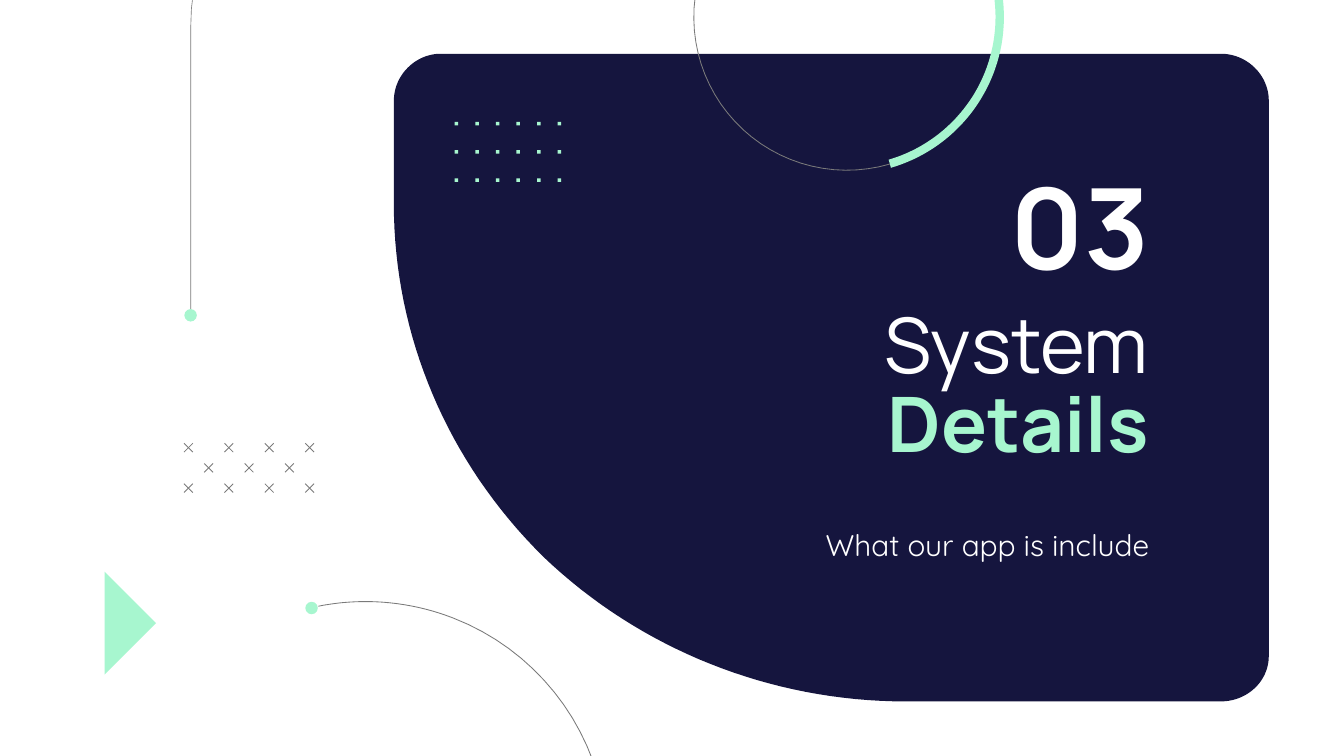
import math
from dataclasses import dataclass

from lxml import etree
from pptx import Presentation
from pptx.dml.color import RGBColor
from pptx.enum.shapes import MSO_CONNECTOR, MSO_SHAPE
from pptx.enum.text import MSO_ANCHOR, MSO_AUTO_SIZE, PP_ALIGN
from pptx.oxml.ns import qn
from pptx.util import Pt

TOP, BOTTOM = MSO_ANCHOR.TOP, MSO_ANCHOR.BOTTOM
NAVY, MINT, GREY, WHITE = "15153E", "A7F6CF", "7A7A7A", "FFFFFF"
HEADING_FONT, BODY_FONT = "Manrope", "Quicksand"
CURVE_STEPS = 32

Point = tuple[float, float]


@dataclass
class Span:
    text: str
    size: float
    font: str
    color: str
    bold: bool = False


@dataclass
class TextBlock:
    left: float
    top: float
    width: float
    height: float
    spans: list[Span]
    anchor: MSO_ANCHOR = TOP
    bottom_inset: float = 0
    line_spacing: float = 1.0


@dataclass
class Arc:
    """Part of a circle; angles in degrees, clockwise from the right."""
    center: Point
    radius: float
    start: float
    end: float


def rgb(color: str) -> RGBColor:
    return RGBColor.from_string(color)


def bezier(a: Point, b: Point, c: Point, d: Point) -> list[Point]:
    points = []
    for step in range(CURVE_STEPS + 1):
        t = step / CURVE_STEPS
        weights = ((1 - t) ** 3, 3 * t * (1 - t) ** 2, 3 * t * t * (1 - t), t ** 3)
        points.append(tuple(sum(w * p[axis] for w, p in zip(weights, (a, b, c, d)))
                            for axis in (0, 1)))
    return points


def arc_points(arc: Arc) -> list[Point]:
    steps = 2 * CURVE_STEPS
    angles = [math.radians(arc.start + (arc.end - arc.start) * i / steps)
              for i in range(steps + 1)]
    return [(arc.center[0] + arc.radius * math.cos(angle),
             arc.center[1] + arc.radius * math.sin(angle)) for angle in angles]


def paint(shape, fill: str) -> None:
    shape.shadow.inherit = False
    shape.fill.solid()
    shape.fill.fore_color.rgb = rgb(fill)
    shape.line.fill.background()


def draw_outline(slide, points: list[Point], closed: bool):
    corners = [(Pt(x), Pt(y)) for x, y in points]
    builder = slide.shapes.build_freeform(*corners[0], scale=1.0)
    builder.add_line_segments(corners[1:], close=closed)
    return builder.convert_to_shape()


def draw_area(slide, points: list[Point], fill: str):
    area = draw_outline(slide, points, True)
    paint(area, fill)
    return area


def draw_curve(slide, points: list[Point], width: float) -> None:
    curve = draw_outline(slide, points, False)
    curve.shadow.inherit = False
    curve.fill.background()
    curve.line.color.rgb = rgb(GREY)
    curve.line.width = Pt(width)


def draw_line(slide, start: Point, end: Point) -> None:
    line = slide.shapes.add_connector(
        MSO_CONNECTOR.STRAIGHT, *(Pt(value) for value in (*start, *end)))
    line.line.color.rgb = rgb(GREY)
    line.line.width = Pt(0.44)
    etree.SubElement(line.element.spPr, qn("a:effectLst"))


def draw_cross(slide, x: float, y: float, size: float = 4.7) -> None:
    draw_line(slide, (x + size, y + size), (x, y))
    draw_line(slide, (x + size, y), (x, y + size))


def draw_mark(slide, kind, x: float, y: float, size: float) -> None:
    mark = slide.shapes.add_shape(kind, Pt(x), Pt(y), Pt(size), Pt(size))
    paint(mark, MINT)


def write_text(box, block: TextBlock) -> None:
    box.left, box.top = Pt(block.left), Pt(block.top)
    box.width, box.height = Pt(block.width), Pt(block.height)
    frame = box.text_frame
    frame.word_wrap = True
    frame.auto_size = MSO_AUTO_SIZE.NONE
    frame.vertical_anchor = block.anchor
    frame.margin_left = frame.margin_right = frame.margin_top = Pt(7.2)
    frame.margin_bottom = Pt(block.bottom_inset)
    para = frame.paragraphs[0]
    para.alignment = PP_ALIGN.RIGHT
    para.line_spacing = block.line_spacing
    para.space_before = Pt(0)
    for span in block.spans:
        run = para.add_run()
        run.text = span.text
        run.font.size = Pt(span.size)
        run.font.name = span.font
        run.font.bold = span.bold
        run.font.color.rgb = rgb(span.color)


def main() -> None:
    deck = Presentation()
    deck.slide_width, deck.slide_height = Pt(720), Pt(405)
    slide = deck.slides.add_slide(deck.slide_layouts[5])
    title = slide.shapes.title

    # Navy panel and mint triangle, behind the title
    panel = draw_area(slide, [
        *bezier((653.8, 28.8), (668.2, 28.8), (679.7, 40.3), (679.7, 54)),
        *bezier((679.7, 351.4), (679.7, 365), (668.2, 375.8), (653.8, 375.8)),
        *bezier((485.3, 375.8), (412.6, 375.8), (342.7, 347.8), (290.9, 298.1)),
        *bezier((290.9, 298.1), (239.8, 247.7), (211, 180), (211, 109.4)),
        *bezier((211, 54), (211, 40.3), (222.5, 28.8), (236.2, 28.8)),
    ], NAVY)
    triangle = draw_area(slide, [(56, 361.4), (83.6, 333.9), (56, 306.3)], MINT)
    for backdrop in (panel, triangle):
        title.element.addprevious(backdrop.element)

    # Section title, number and subtitle
    write_text(title, TextBlock(
        339.1, 158.4, 283.7, 113.8,
        [Span("System", 41, HEADING_FONT, WHITE),
         Span(" Details", 41, HEADING_FONT, MINT, True)],
        bottom_inset=7.2, line_spacing=0.87))
    for block in (
        TextBlock(532.1, 79.2, 90.7, 77,
                  [Span("03", 60, HEADING_FONT, WHITE, True)], BOTTOM),
        TextBlock(427, 275, 195.8, 55.4,
                  [Span("What our app is include", 16, BODY_FONT, WHITE)]),
    ):
        write_text(slide.shapes.add_textbox(0, 0, 0, 0), block)

    # Staggered crosses: 4, 3, 4
    cross_gap = 21.65
    for row, count in enumerate((4, 3, 4)):
        indent = (4 - count) * cross_gap / 2
        for column in range(count):
            draw_cross(slide, 98.6 + indent + column * cross_gap,
                       237.5 + row * cross_gap / 2)

    # Grid of small squares
    for column in range(6):
        for row in range(3):
            draw_mark(slide, MSO_SHAPE.RECTANGLE,
                      243.6 + column * 11.02, 65.3 + row * 15.12, 1.9)

    # Long line from the top, ending in a dot
    draw_curve(slide, [
        (102.2, 169.2),
        *bezier((102.2, 15.1), (102.2, -95), (236.9, -184.3), (403.2, -184.3)),
        (498.2, -184.3),
    ], 0.35)
    draw_mark(slide, MSO_SHAPE.OVAL, 98.8, 165.6, 6.7)

    # Top circle with a thick mint quarter
    hub = (453.7, 9.2)
    draw_curve(slide, arc_points(Arc(hub, 82, 343.7, 73.7)), 0.44)
    outer = arc_points(Arc(hub, 84.1, -16.3, 73.7))
    inner = arc_points(Arc(hub, 79.6, 73.7, -16.3))
    draw_area(slide, outer + inner, MINT)

    # Bottom circle, starting from a dot
    for start, end in ((258.8, 291.4), (291.4, 530.1)):
        draw_curve(slide, arc_points(Arc((195.8, 452), 129.7, start, end)), 0.44)
    draw_mark(slide, MSO_SHAPE.OVAL, 163.6, 322.4, 6.7)

    deck.save("out.pptx")


if __name__ == "__main__":
    main()
